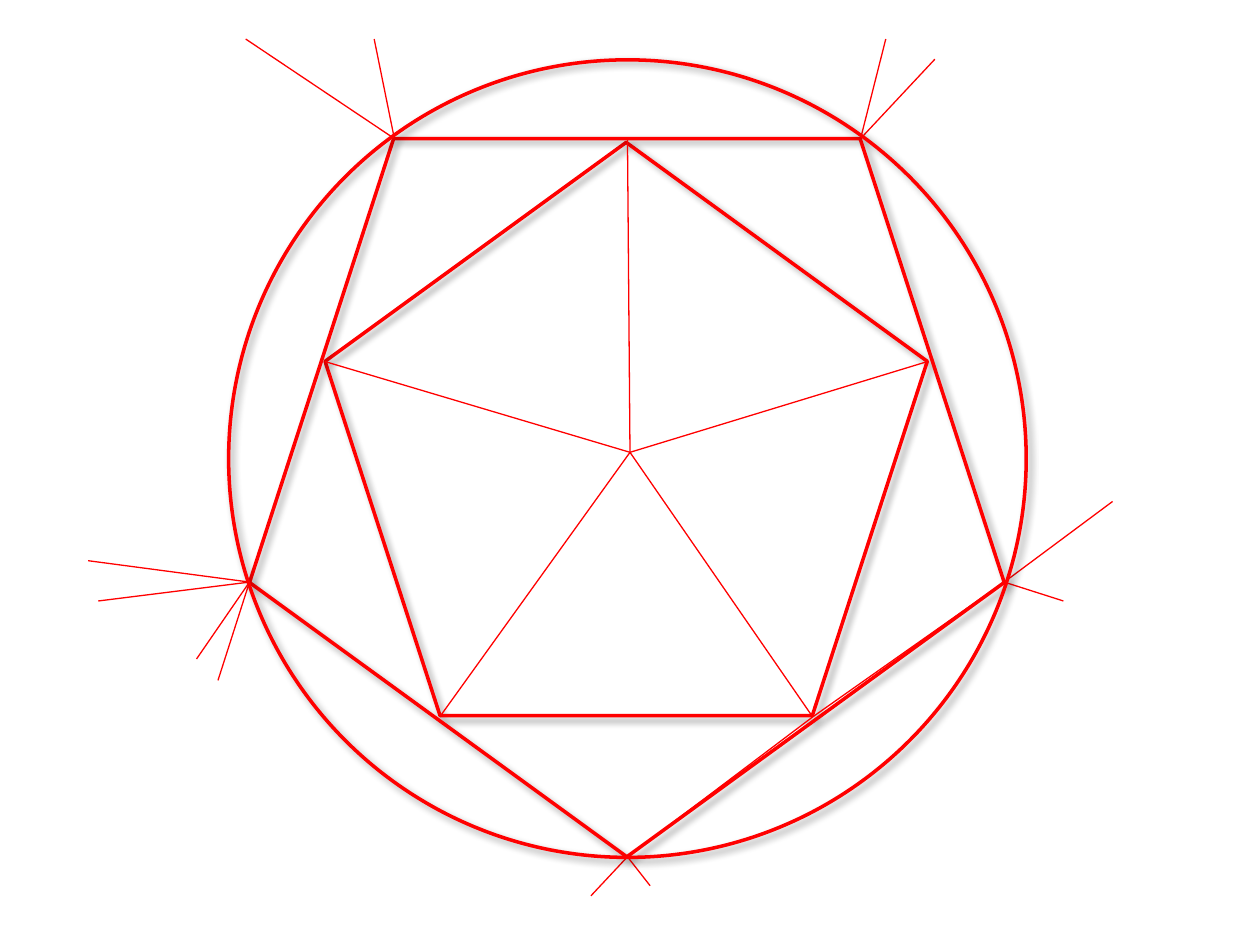
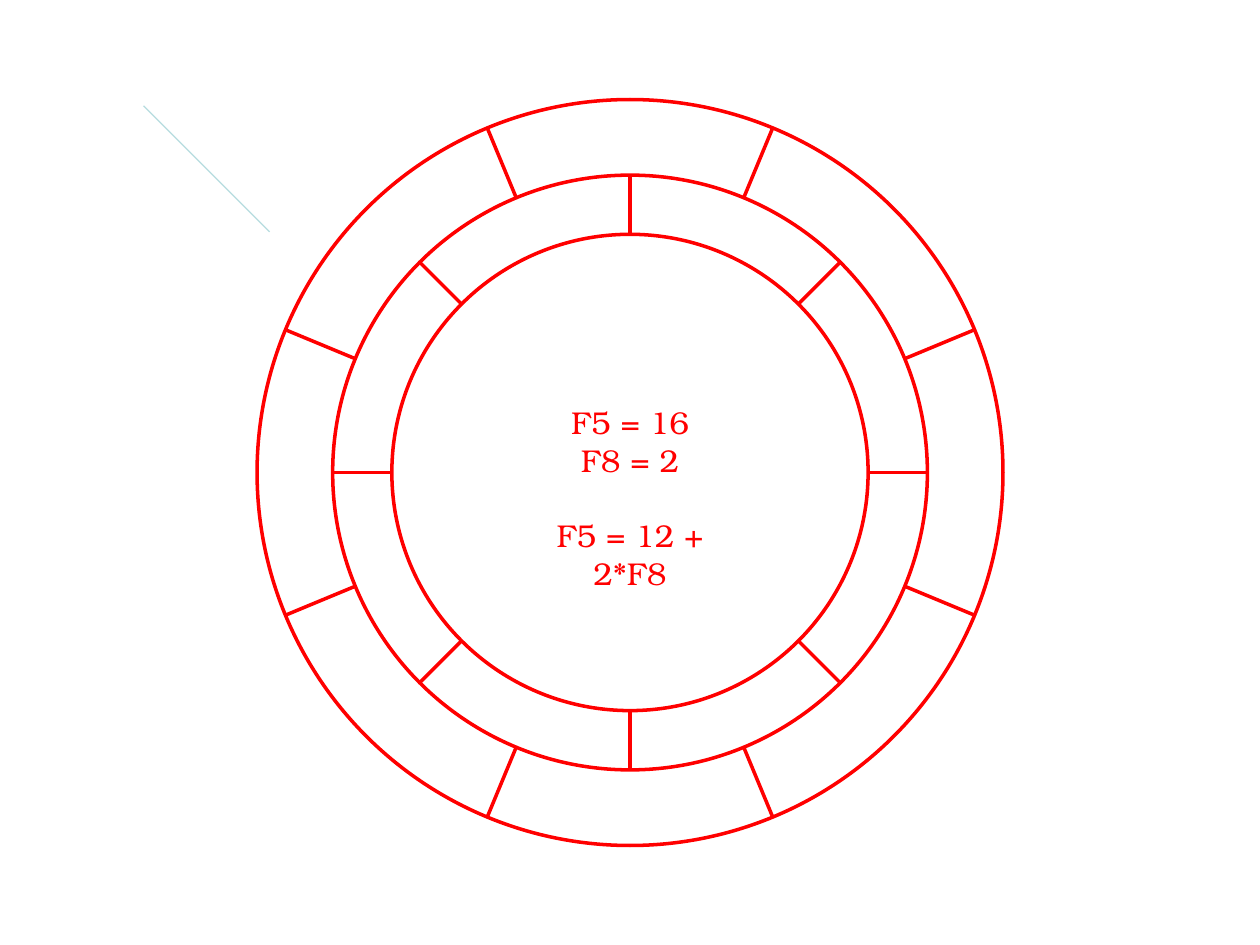
"""Build two geometry slides: nested pentagons in a circle, and divided rings."""
from dataclasses import dataclass
from math import cos, radians, sin

from lxml.etree import SubElement
from pptx import Presentation
from pptx.dml.color import RGBColor
from pptx.enum.shapes import MSO_CONNECTOR as CONN, MSO_SHAPE as SHAPE
from pptx.enum.text import PP_ALIGN
from pptx.oxml.ns import qn
from pptx.shapes.autoshape import Shape
from pptx.shapes.shapetree import GroupShapes, SlideShapes
from pptx.util import Inches, Pt

RED = RGBColor(0xFF, 0x00, 0x00)
PALE_TEAL = RGBColor(0xB6, 0xDC, 0xDF)
FONT = "TeX Gyre Bonum"
THICK, THIN = 2, 0.75

Shapes = SlideShapes | GroupShapes
Point = tuple[float, float]


@dataclass(frozen=True)
class Outline:
    kind: SHAPE
    left: float
    top: float
    width: float
    height: float
    rotation: float = 0
    shadow: bool = False


@dataclass(frozen=True)
class Fan:
    origin: Point
    ends: tuple[Point, ...]


@dataclass(frozen=True)
class Ring:
    inner: float
    outer: float
    start: float


def add_shadow(sp: Shape) -> None:
    effects = sp._element.spPr.find(qn("a:effectLst"))
    shadow = SubElement(effects, qn("a:outerShdw"), blurRad=str(Pt(4)), dist=str(Pt(3)),
                        dir="2700000", algn="tl", rotWithShape="0")
    color = SubElement(shadow, qn("a:srgbClr"), val="000000")
    SubElement(color, qn("a:alpha"), val="40000")


def add_outline(shapes: Shapes, item: Outline) -> None:
    sp = shapes.add_shape(item.kind, Inches(item.left), Inches(item.top),
                          Inches(item.width), Inches(item.height))
    sp.rotation = item.rotation
    sp.fill.background()
    sp.line.color.rgb = RED
    sp.line.width = Pt(THICK)
    sp.shadow.inherit = False
    if item.shadow:
        add_shadow(sp)


def add_circle(shapes: Shapes, center: Point, radius: float, shadow: bool = False) -> None:
    x, y = center
    add_outline(shapes, Outline(SHAPE.OVAL, x - radius, y - radius,
                                2 * radius, 2 * radius, shadow=shadow))


def add_line(shapes: Shapes, start: Point, end: Point, width: float,
             color: RGBColor = RED) -> None:
    line = shapes.add_connector(CONN.STRAIGHT, *(Inches(v) for v in (*start, *end)))
    line.line.color.rgb = color
    line.line.width = Pt(width)
    SubElement(line._element.spPr, qn("a:effectLst"))


def add_fan(shapes: Shapes, fan: Fan) -> None:
    for end in fan.ends:
        add_line(shapes, fan.origin, end, THIN)


def polar(center: Point, radius: float, degrees: float) -> Point:
    angle = radians(degrees)
    return center[0] + radius * cos(angle), center[1] + radius * sin(angle)


def add_ring_ticks(shapes: Shapes, center: Point, ring: Ring) -> None:
    for i in range(8):
        angle = ring.start + 45 * i
        add_line(shapes, polar(center, ring.inner, angle),
                 polar(center, ring.outer, angle), THICK)


PENTAGONS = (
    Outline(SHAPE.REGULAR_PENTAGON, 2.58, 1.13, 4.78, 4.55, shadow=True),
    Outline(SHAPE.REGULAR_PENTAGON, 1.98, 1.1, 5.99, 5.7, rotation=180, shadow=True),
)
BOTTOM, RIGHT, LEFT = (4.98, 6.8), (7.97, 4.62), (1.98, 4.62)
TOP_LEFT, TOP_RIGHT = (3.13, 1.1), (6.83, 1.1)
INNER_RIGHT = (6.45, 5.69)
RAYS = (
    Fan(INNER_RIGHT, (BOTTOM, RIGHT)),
    Fan(TOP_LEFT, ((2.97, 0.31), (1.95, 0.31))),
    Fan(LEFT, ((1.56, 5.23), (1.73, 5.4), (0.7, 4.45), (0.78, 4.77))),
    Fan(TOP_RIGHT, ((7.03, 0.31), (7.42, 0.47))),
    Fan(RIGHT, ((8.83, 3.98), (8.44, 4.77))),
    Fan(BOTTOM, ((5.16, 7.03), (4.69, 7.11))),
)
SPOKES = Fan((5, 3.59), (INNER_RIGHT, (3.49, 5.69), (2.58, 2.87), (4.98, 1.1), (7.36, 2.87)))

RING_CENTER = (5, 3.75)
INNER_RING = Ring(1.89, 2.36, 0)
OUTER_RING = Ring(2.36, 2.96, 22.5)
FORMULAS = (("F5 = 16", 0), ("F8 = 2", 0), ("F5 = 12 + 2*F8", 21.6))


def build_pentagons(shapes: SlideShapes) -> None:
    group = shapes.add_group_shape().shapes
    for pentagon in PENTAGONS:
        add_outline(group, pentagon)
    for fan in RAYS:
        add_fan(group, fan)
    add_circle(group, (4.98, 3.64), 3.165, shadow=True)
    add_fan(group, SPOKES)


def add_formulas(shapes: SlideShapes) -> None:
    tf = shapes.add_textbox(Inches(4.01), Inches(3.15), Inches(1.98), Inches(1.6)).text_frame
    tf.word_wrap = True
    for i, (text, gap) in enumerate(FORMULAS):
        p = tf.add_paragraph() if i else tf.paragraphs[0]
        p.alignment = PP_ALIGN.CENTER
        p.space_before = Pt(gap)
        r = p.add_run()
        r.text = text
        r.font.name = FONT
        r.font.size = Pt(18)
        r.font.color.rgb = RED


def build_rings(shapes: SlideShapes) -> None:
    inner = shapes.add_group_shape().shapes
    add_circle(inner, RING_CENTER, INNER_RING.outer)
    add_circle(inner, RING_CENTER, INNER_RING.inner)
    add_ring_ticks(inner, RING_CENTER, INNER_RING)
    add_formulas(shapes)
    add_line(shapes, (1.14, 0.84), (2.14, 1.84), THIN, PALE_TEAL)
    outer = shapes.add_group_shape().shapes
    add_circle(outer, RING_CENTER, OUTER_RING.outer)
    add_ring_ticks(outer, RING_CENTER, OUTER_RING)


def main() -> None:
    prs = Presentation()
    prs.slide_width, prs.slide_height = Inches(10), Inches(7.5)
    for build in (build_pentagons, build_rings):
        build(prs.slides.add_slide(prs.slide_layouts[6]).shapes)
    prs.save("out.pptx")


main()
